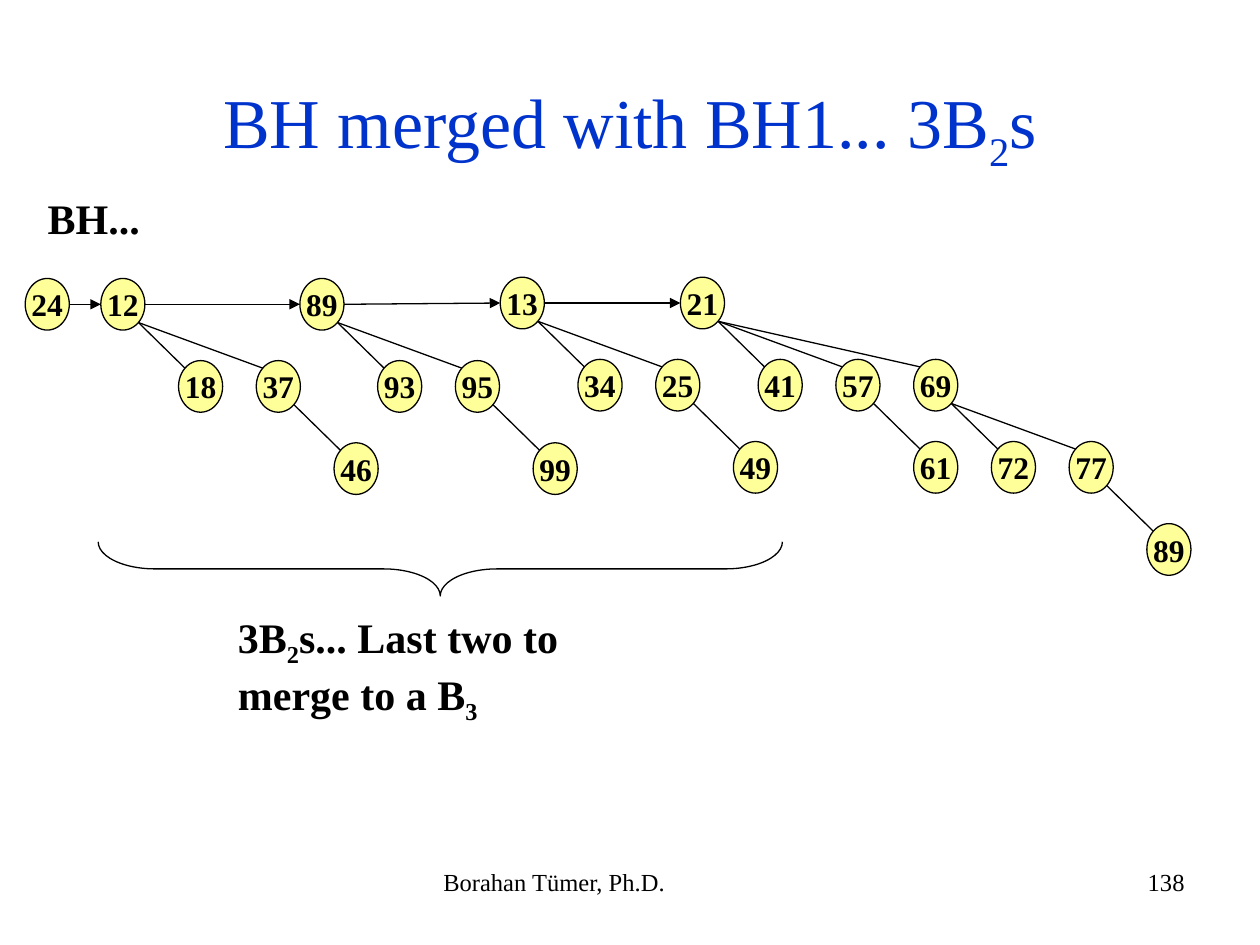
from lxml import etree
from pptx import Presentation
from pptx.dml.color import RGBColor
from pptx.enum.shapes import MSO_CONNECTOR, MSO_SHAPE
from pptx.enum.text import MSO_ANCHOR, PP_ALIGN
from pptx.oxml.ns import qn
from pptx.util import Inches, Pt

STRAIGHT = MSO_CONNECTOR.STRAIGHT
LEFT, CENTER, RIGHT = PP_ALIGN.LEFT, PP_ALIGN.CENTER, PP_ALIGN.RIGHT
MIDDLE = MSO_ANCHOR.MIDDLE

FONT = "Times New Roman"
COLORS = {"title": "0033CC", "ink": "000000", "node": "FFFF99"}

# Runs are (text, is subscript)
TITLE = [("BH merged with BH1... 3B", False), ("2", True), ("s", False)]
BRACE_NOTE = [("3B", False), ("2", True),
              ("s... Last two to merge to a B", False), ("3", True)]
# (runs, box, size, bold, alignment)
TEXTS = [
    ([("Borahan Tümer, Ph.D.", False)], (3.42, 6.83, 3.17, 0.52), 14, False, LEFT),
    ([("138", False)], (7.17, 6.83, 2.33, 0.52), 14, False, RIGHT),
    ([("BH...", False)], (0.28, 1.48, 1.05, 0.5), 24, True, LEFT),
    (BRACE_NOTE, (1.79, 4.8, 3.44, 1.01), 24, True, LEFT),
]
# Binomial trees: (root left, root top, (key, children))
HEAP = [
    (0.2, 2.21, (24, [])),
    (0.8, 2.21, (12, [(18, []), (37, [(46, [])])])),
    (2.38, 2.21, (89, [(93, []), (95, [(99, [])])])),
    (3.97, 2.2, (13, [(34, []), (25, [(49, [])])])),
    (5.4, 2.2, (21, [(41, []), (57, [(61, [])]),
                     (69, [(72, []), (77, [(89, [])])])])),
]
NODE_WIDTH, NODE_HEIGHT = 0.35, 0.41
COLUMN_STEP, ROW_STEP = 0.617, 0.652
CORNER = 0.146  # share of the node's size where its diagonal meets the outline


def rgb(name):
    return RGBColor.from_string(COLORS[name])


def write(frame, runs, size, color="ink", bold=False, alignment=LEFT):
    paragraph = frame.paragraphs[0]
    paragraph.alignment = alignment
    font = paragraph.font
    font.name, font.size, font.bold = FONT, Pt(size), bold
    font.color.rgb = rgb(color)
    for text, subscript in runs:
        run = paragraph.add_run()
        run.text = text
        if subscript:
            run._r.get_or_add_rPr().set("baseline", "-25000")


def add_line(slide, start, end, arrow=False):
    line = slide.shapes.add_connector(STRAIGHT, *map(Inches, start + end))
    line.line.color.rgb = rgb("ink")
    line.line.width = Pt(0.75)
    if arrow:
        etree.SubElement(line.line._get_or_add_ln(), qn("a:tailEnd"), type="triangle")
    etree.SubElement(line._element.spPr, qn("a:effectLst"))


def add_node(slide, key, left, top):
    node = slide.shapes.add_shape(
        MSO_SHAPE.OVAL, *map(Inches, (left, top, NODE_WIDTH, NODE_HEIGHT)))
    node.shadow.inherit = False
    node.fill.solid()
    node.fill.fore_color.rgb = rgb("node")
    node.line.color.rgb = rgb("ink")
    node.line.width = Pt(0.75)
    node.text_frame.word_wrap = False
    node.text_frame.vertical_anchor = MIDDLE
    write(node.text_frame, [(str(key), False)], 18, bold=True, alignment=CENTER)


def add_tree(slide, left, top, tree):
    key, children = tree
    add_node(slide, key, left, top)
    start = (left + NODE_WIDTH * (1 - CORNER), top + NODE_HEIGHT * (1 - CORNER))
    child_top = top + ROW_STEP
    for column, child in enumerate(children, 1):
        child_left = left + column * COLUMN_STEP
        add_line(slide, start, (child_left + NODE_WIDTH * CORNER,
                                child_top + NODE_HEIGHT * CORNER))
        add_tree(slide, child_left, child_top, child)


def main():
    presentation = Presentation()
    presentation.slide_width, presentation.slide_height = Inches(10), Inches(7.5)
    slide = presentation.slides.add_slide(presentation.slide_layouts[5])

    # Title
    title = slide.shapes.title
    title.left, title.top, title.width, title.height = map(Inches, (0.5, 0.3, 9, 1.41))
    title.text_frame.vertical_anchor = MIDDLE
    write(title.text_frame, TITLE, 40, "title", alignment=CENTER)

    # Labels and footer
    for runs, box, size, bold, alignment in TEXTS:
        frame = slide.shapes.add_textbox(*map(Inches, box)).text_frame
        frame.word_wrap = True
        write(frame, runs, size, bold=bold, alignment=alignment)

    # Trees, and the arrows along the list of roots
    for left, top, tree in HEAP:
        add_tree(slide, left, top, tree)
    for (left, top, _), (next_left, next_top, _) in zip(HEAP, HEAP[1:]):
        add_line(slide, (left + NODE_WIDTH, top + NODE_HEIGHT / 2),
                 (next_left, next_top + NODE_HEIGHT / 2), arrow=True)

    # Brace under the three B2 trees
    brace = slide.shapes.add_shape(
        MSO_SHAPE.LEFT_BRACE, *map(Inches, (3.28, 1.8, 0.43, 5.43)))
    brace.rotation = 270
    brace.adjustments[0] = 1.05
    brace.shadow.inherit = False
    brace.fill.background()
    brace.line.color.rgb = rgb("ink")
    brace.line.width = Pt(0.75)

    presentation.save("out.pptx")


if __name__ == "__main__":
    main()
